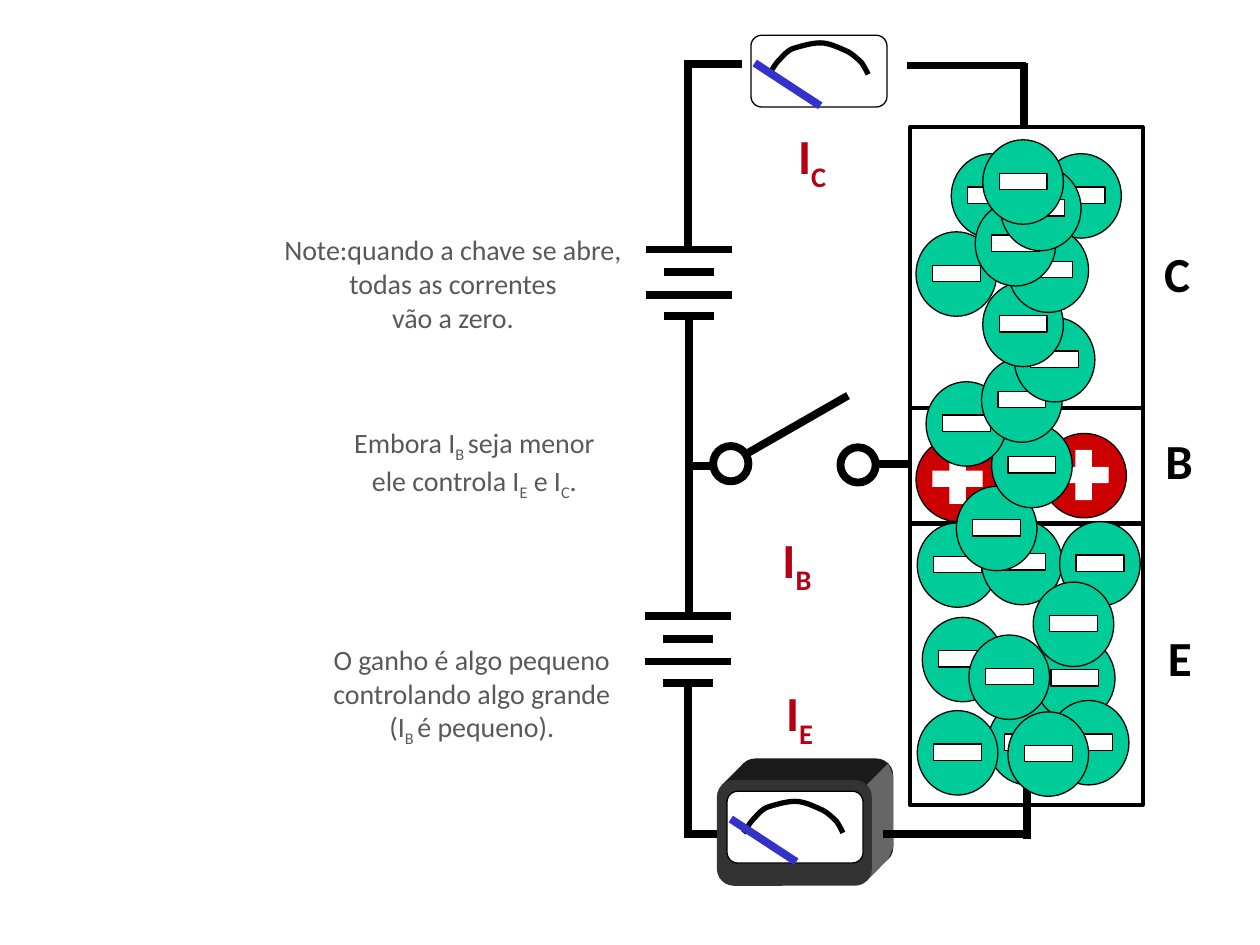
from dataclasses import dataclass

from lxml import etree
from pptx import Presentation
from pptx import util as u
from pptx.dml.color import RGBColor
from pptx.enum import shapes, text
from pptx.oxml.ns import qn


@dataclass(frozen=True)
class Theme:
    font: str = "Calibri"
    ink: str = "000000"
    paper: str = "FFFFFF"
    note: str = "595959"
    current: str = "B50116"
    electron: str = "00CC99"
    hole: str = "CC0000"
    needle: str = "3333CC"
    case_front: str = "333333"
    case_top: str = "1A1A1A"
    case_side: str = "666666"
    note_size: int = 16
    label_size: int = 28
    thin: float = 0.75
    border: float = 2.25
    dial: float = 3
    wire: float = 4.5


THEME = Theme()
COLUMNS, ROWS = 100, 75
CELL = u.Inches(10) // COLUMNS
KIND = shapes.MSO_SHAPE

ELECTRONS = [
    (75.5, 12.2), (82.6, 12.2), (72.7, 18.4), (72.8, 41.5), (78.4, 55.6),
    (72.8, 56.4), (82.1, 50.5), (73.2, 49), (77.9, 41.3), (83.2, 55.6),
    (75.9, 38.6), (84.1, 41.4), (80, 56.5), (82, 46.2), (76.9, 50.4),
    (78.7, 33.6), (73.5, 30.3), (77.9, 28.4), (80.5, 25.2), (78, 22.4),
    (80, 18.1), (77.4, 16), (79.4, 13.2), (78, 11.1),
]
HOLES = [(82.7, 34.4), (72.7, 34.7)]
WIRES = [
    (81.5, 61.6, 81.5, 66.6), (81.3, 5, 81.3, 10),
    (54.7, 48.7, 54.7, 33.3), (54.6, 66.5, 54.6, 54),
    (81.7, 66.2, 70.1, 66.2), (54.8, 66.2, 56.9, 66.2),
    (54.6, 20.1, 54.6, 4.8), (54.7, 37.8, 54.7, 25.3),
    (54.5, 5.1, 58.9, 5.1), (81.4, 5.2, 72, 5.2),
    (56.6, 37, 54.4, 37), (72.2, 36.8, 69.7, 36.8),
]
DIAL_CURVES = [
    [(0, 2.5), (0.2, 2.3), (0.5, 1.7), (0.8, 1.4)],
    [(0.8, 1.4), (1.1, 1.1), (1.3, 0.8), (1.8, 0.5)],
    [(1.8, 0.5), (2.4, 0.3), (3.4, 0), (4.1, 0)],
    [(4.1, 0), (4.9, 0), (5.8, 0.5), (6.3, 0.7)],
    [(6.3, 0.7), (6.8, 1), (7.1, 1.3), (7.4, 1.6)],
    [(7.4, 1.6), (7.6, 1.9), (7.8, 2.3), (7.9, 2.5)],
]


def cells(*values):
    return [round(value * CELL) for value in values]


def paint(part, fill=None, line=None, weight=THEME.thin):
    part.shadow.inherit = False
    for color, target in ((fill, part.fill), (line, part.line.fill)):
        if color:
            target.solid()
            target.fore_color.rgb = RGBColor.from_string(color)
        else:
            target.background()
    if line:
        part.line.width = u.Pt(weight)
    return part


def add_outline(canvas, kind, left, top, width, height, corner=None, **look):
    part = canvas.add_shape(kind, *cells(left, top, width, height))
    if corner is not None:
        part.adjustments[0] = corner
    return paint(part, **look)


def add_wire(canvas, x1, y1, x2, y2, color=THEME.ink):
    wire = canvas.add_connector(shapes.MSO_CONNECTOR.STRAIGHT, *cells(x1, y1, x2, y2))
    wire.line.color.rgb = RGBColor.from_string(color)
    wire.line.width = u.Pt(THEME.wire)
    etree.SubElement(wire._element.spPr, qn("a:effectLst"))


def add_path(canvas, points, close, **look):
    start, *rest = [cells(*point) for point in points]
    builder = canvas.build_freeform(*start)
    builder.add_line_segments(rest, close=close)
    paint(builder.convert_to_shape(), **look)


def add_text(canvas, lines, left, top, width, height, size=THEME.note_size,
             color=THEME.note, bold=False, align=text.PP_ALIGN.CENTER):
    frame = canvas.add_textbox(*cells(left, top, width, height)).text_frame
    frame.word_wrap = False
    frame.auto_size = text.MSO_AUTO_SIZE.SHAPE_TO_FIT_TEXT
    for index, line in enumerate(lines):
        paragraph = frame.add_paragraph() if index else frame.paragraphs[0]
        paragraph.alignment = align
        for position, words in enumerate(line.split("|")):
            run = paragraph.add_run()
            run.text = words
            run.font.name, run.font.size, run.font.bold = THEME.font, u.Pt(size), bold
            run.font.color.rgb = RGBColor.from_string(color)
            if position % 2:
                run._r.get_or_add_rPr().set("baseline", "-25000")


def add_electron(canvas, left, top):
    charge = canvas.add_group_shape().shapes
    add_outline(charge, KIND.OVAL, left, top, 6.4, 6.7, fill=THEME.electron, line=THEME.ink)
    add_outline(charge, KIND.RECTANGLE, left + 1.3, top + 2.65, 3.8, 1.3,
                fill=THEME.paper, line=THEME.ink)


def add_hole(canvas, left, top):
    charge = canvas.add_group_shape().shapes
    add_outline(charge, KIND.OVAL, left, top, 6.7, 6.7, fill=THEME.hole, line=THEME.ink)
    for turn in (0, 90):
        bar = add_outline(charge, KIND.RECTANGLE, left + 1.3, top + 2.65, 4, 1.3,
                          fill=THEME.paper)
        bar.rotation = turn


def add_battery(canvas, left, top):
    plates = canvas.add_group_shape().shapes
    for inset, drop in ((0, 0), (1.4, 1.8), (0, 3.6), (1.4, 5.3)):
        add_wire(plates, left + inset, top + drop, left + 6.8 - inset, top + drop)


def add_meter(canvas, left, top, arc_left, arc_top):
    meter = canvas.add_group_shape().shapes
    add_outline(meter, KIND.ROUNDED_RECTANGLE, left, top, 10.8, 5.7, corner=0.15,
                fill=THEME.paper, line=THEME.ink)
    arc = []
    for a, b, c, d in DIAL_CURVES:
        for t in (step / 8 for step in range(9)):
            s = 1 - t
            weights = (s ** 3, 3 * s * s * t, 3 * s * t * t, t ** 3)
            x, y = (sum(w * p[axis] for w, p in zip(weights, (a, b, c, d)))
                    for axis in (0, 1))
            arc.append((arc_left + x, arc_top + y))
    add_path(meter, arc, False, line=THEME.ink, weight=THEME.dial)
    add_wire(meter, left + 0.3, top + 2.2, left + 5.5, top + 5.6, THEME.needle)


def add_case(canvas, left, top, width=12.3, height=8.4, depth=1.7, bevel=0.4):
    right, bottom = left + width - bevel, top + height - bevel
    start, ridge = left + bevel, top + bevel
    add_outline(canvas, KIND.ROUNDED_RECTANGLE, left + depth, top - depth, width, height,
                corner=0.16, fill=THEME.case_top)
    add_path(canvas, [(start, ridge), (start + depth, ridge - depth),
                      (right + depth, ridge - depth), (right, ridge)],
             True, fill=THEME.case_top)
    edge = right + depth + bevel
    add_path(canvas, [(right, ridge), (right + depth, ridge - depth),
                      (edge, ridge - depth + 1), (edge, bottom - depth - 1),
                      (right + depth, bottom - depth), (right, bottom)],
             True, fill=THEME.case_side)
    add_outline(canvas, KIND.ROUNDED_RECTANGLE, left, top, width, height, corner=0.16,
                fill=THEME.case_front)


def add_transistor(canvas):
    for top, height in ((41.6, 22.3), (10.1, 22.3), (32.4, 9.1)):
        add_outline(canvas, KIND.RECTANGLE, 72.2, top, 18.5, height,
                    line=THEME.ink, weight=THEME.border)
    for place in HOLES:
        add_hole(canvas, *place)
    for place in ELECTRONS:
        add_electron(canvas, *place)


def add_switch(canvas):
    for left, top in ((56.6, 35.4), (66.7, 35.5)):
        add_outline(canvas, KIND.OVAL, left, top, 2.8, 2.8, line=THEME.ink, weight=THEME.wire)
    add_wire(canvas, 59.1, 36.1, 67.3, 31.4)


def add_labels(canvas):
    for name, left, top in (("C", 91.4, 18.8), ("B", 91.5, 33.7), ("E", 91.7, 49.3)):
        add_text(canvas, [name], left, top, 4.1, 5.7, size=THEME.label_size,
                 color=THEME.ink, bold=True, align=text.PP_ALIGN.LEFT)
    for name, left, top in (("C", 62.2, 9.5), ("B", 61, 41.5), ("E", 61.2, 53.7)):
        add_text(canvas, [f"I|{name}"], left, top, 4.5, 5.7, size=THEME.label_size,
                 color=THEME.current, bold=True)
    add_text(canvas, ["Note:quando a chave se abre,", "todas as correntes", "vão a zero."],
             21.4, 18, 29.1, 9.1)
    add_text(canvas, ["Embora I|B |seja menor", "ele controla I|E| e I|C|."],
             26.8, 33.3, 21.7, 6.4)
    add_text(canvas, ["O ganho é algo pequeno", "controlando algo grande",
                      "(I|B |é pequeno)."], 25.3, 50.5, 24.3, 9.1)


def main():
    deck = Presentation()
    deck.slide_width, deck.slide_height = COLUMNS * CELL, ROWS * CELL
    canvas = deck.slides.add_slide(deck.slide_layouts[6]).shapes
    add_case(canvas, 56.9, 61.9)
    for wire in WIRES:
        add_wire(canvas, *wire)
    add_battery(canvas, 51.2, 48.9)
    add_battery(canvas, 51.3, 19.8)
    add_transistor(canvas)
    add_switch(canvas)
    add_meter(canvas, 57.7, 62.8, 59, 63.6)
    add_meter(canvas, 59.6, 2.8, 61, 3.4)
    add_labels(canvas)
    deck.save("out.pptx")


if __name__ == "__main__":
    main()
